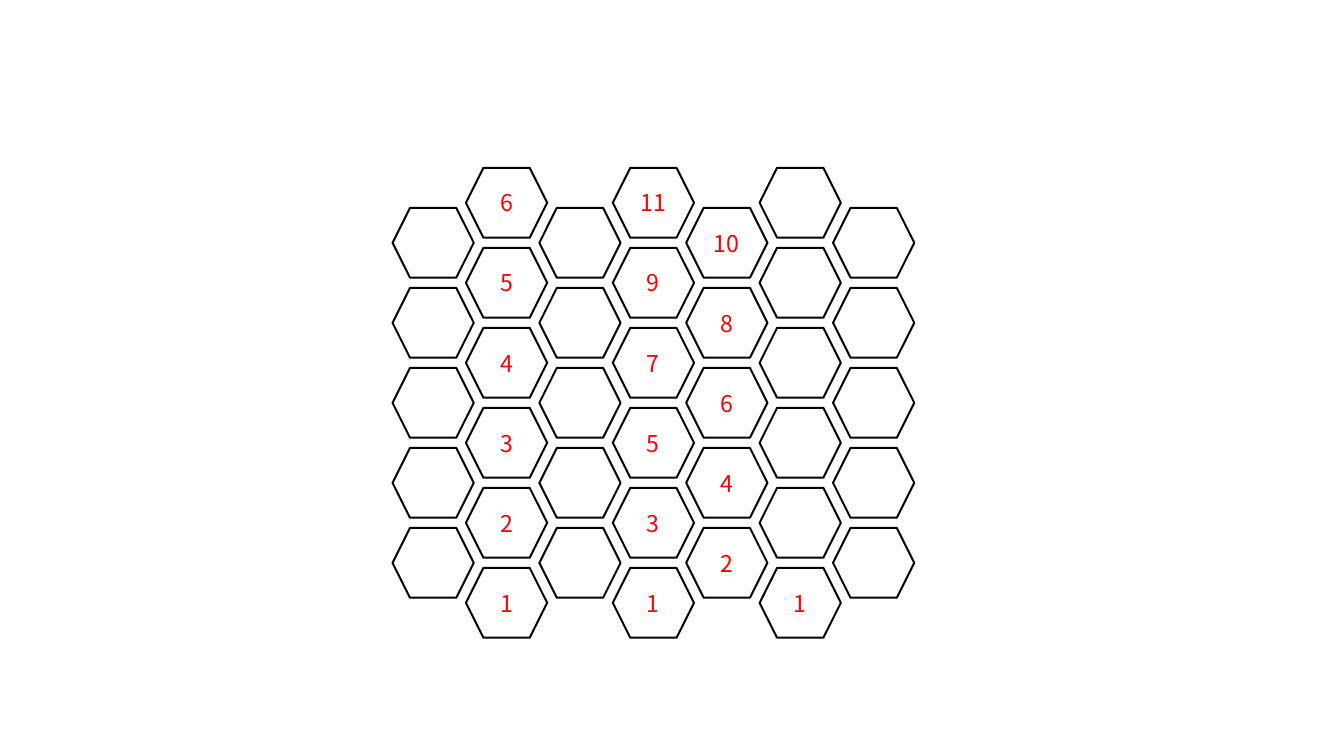
import pptx
import pptx.util
import pptx.dml.color
import pptx.enum.shapes
import pptx.enum.text

Pt = pptx.util.Pt
COLORS = {"cell": "FFFFFF", "outline": "000000", "number": "FF0000"}

# Cell size and grid steps
CELL_WIDTH, CELL_HEIGHT = 91.4, 78.5
GRID_LEFT, GRID_TOP = 441.6, 188.8
COLUMN_STEP, ROW_STEP = 82.6, 90

# Numbers in each column, from top to bottom
columns = [
    [""] * 5,
    ["6", "5", "4", "3", "2", "1"],
    [""] * 5,
    ["11", "9", "7", "5", "3", "1"],
    ["10", "8", "6", "4", "2"],
    [""] * 5 + ["1"],
    [""] * 5,
]


def rgb(name):
    return pptx.dml.color.RGBColor.from_string(COLORS[name])


def write_text(cell, text, size=26, font="Noto Sans CJK SC", color="number"):
    frame = cell.text_frame
    frame.margin_left = frame.margin_right = Pt(0)
    frame.margin_top = frame.margin_bottom = Pt(0)
    frame.vertical_anchor = pptx.enum.text.MSO_ANCHOR.MIDDLE
    paragraph = frame.paragraphs[0]
    paragraph.alignment = pptx.enum.text.PP_ALIGN.CENTER
    run = paragraph.add_run()
    run.text = text
    run.font.size = Pt(size)
    run.font.name = font
    run.font.color.rgb = rgb(color)


presentation = pptx.Presentation()
presentation.slide_width = Pt(1512)
presentation.slide_height = Pt(850.32)
slide = presentation.slides.add_slide(presentation.slide_layouts[6])

# Honeycomb: five-cell columns start half a row lower
for column, numbers in enumerate(columns):
    left = GRID_LEFT + column * COLUMN_STEP
    top = GRID_TOP + (6 - len(numbers)) * ROW_STEP / 2
    for row, number in enumerate(numbers):
        cell = slide.shapes.add_shape(
            pptx.enum.shapes.MSO_SHAPE.HEXAGON,
            Pt(left), Pt(top + row * ROW_STEP), Pt(CELL_WIDTH), Pt(CELL_HEIGHT))
        cell.shadow.inherit = False
        cell.fill.solid()
        cell.fill.fore_color.rgb = rgb("cell")
        cell.line.color.rgb = rgb("outline")
        cell.line.width = Pt(2.25)
        if number:
            write_text(cell, number)

presentation.save("out.pptx")
